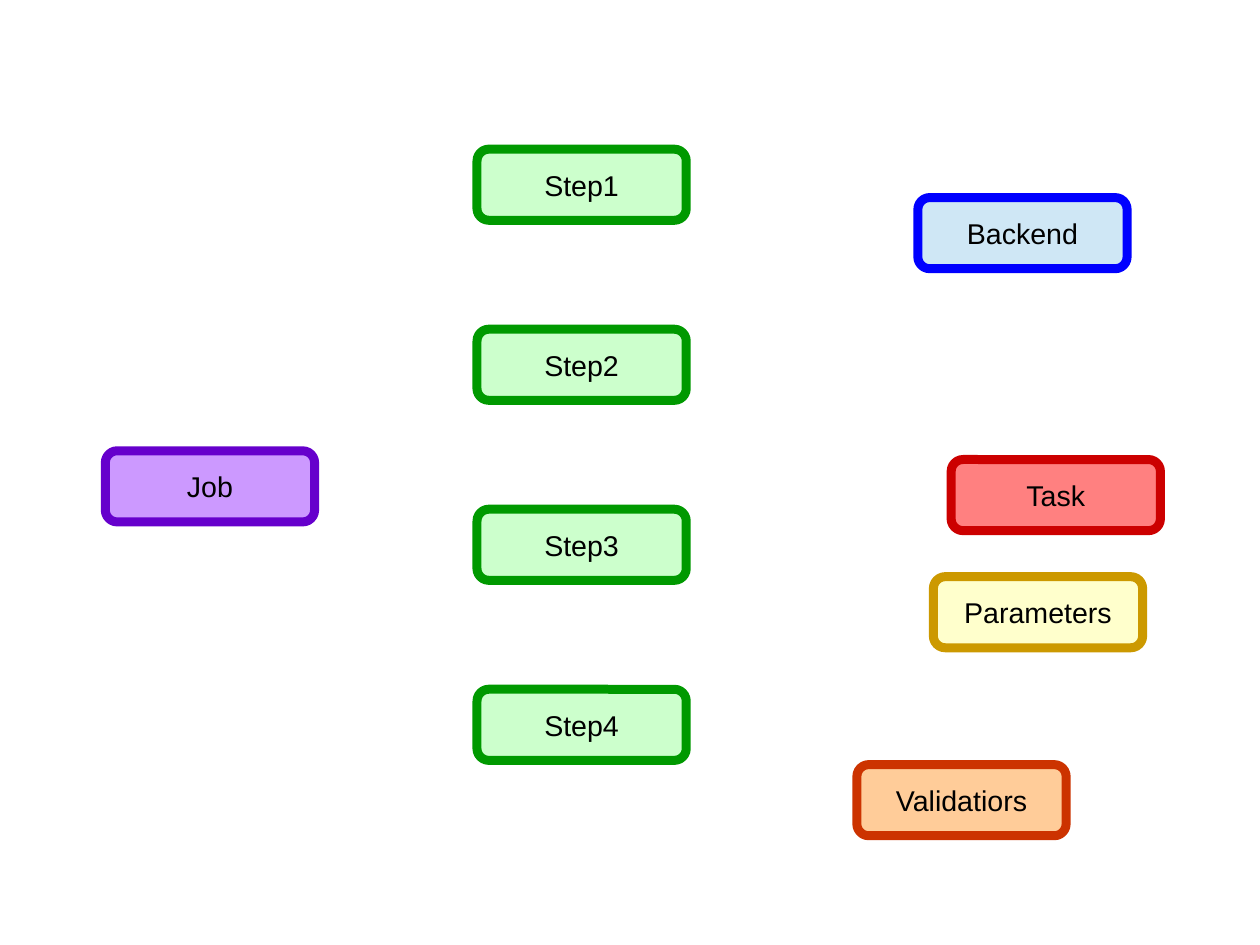
import pptx
import pptx.util
import pptx.dml.color
import pptx.enum.shapes
import pptx.enum.text

Pt = pptx.util.Pt

FILLS = {"job": "CC99FF", "step": "CCFFCC", "backend": "CFE7F5",
         "task": "FF8080", "params": "FFFFCC", "checks": "FFCC99"}
EDGES = {"job": "6600CC", "step": "009900", "backend": "0000FF",
         "task": "CC0000", "params": "CC9900", "checks": "CC3300"}
INK = "000000"


def paint(code):
    """Turn a hex string into a colour."""
    return pptx.dml.color.RGBColor.from_string(code)


class Board:
    """Holds the box style and the current slide."""

    font, size = "Arial", 18
    wide, high = 131.8, 44.8
    edge, curve = 5.67, 0.167
    side, top = 10, 6.5

    def __init__(self, slide):
        """Keep the slide to draw on."""
        self.slide = slide

    def box(self, text, kind, left, top):
        """Add a rounded box with a centred label."""
        shape = self.slide.shapes.add_shape(
            pptx.enum.shapes.MSO_SHAPE.ROUNDED_RECTANGLE,
            Pt(left), Pt(top), Pt(self.wide), Pt(self.high))
        shape.adjustments[0] = self.curve
        shape.shadow.inherit = False
        shape.fill.solid()
        shape.fill.fore_color.rgb = paint(FILLS[kind])
        shape.line.color.rgb = paint(EDGES[kind])
        shape.line.width = Pt(self.edge)
        self.label(shape.text_frame, text)

    def label(self, frame, text):
        """Write one centred line into a text frame."""
        frame.word_wrap = False
        frame.vertical_anchor = pptx.enum.text.MSO_ANCHOR.MIDDLE
        frame.margin_left = frame.margin_right = Pt(self.side)
        frame.margin_top = frame.margin_bottom = Pt(self.top)
        para = frame.paragraphs[0]
        para.alignment = pptx.enum.text.PP_ALIGN.CENTER
        run = para.add_run()
        run.text = text
        run.font.name = self.font
        run.font.size = Pt(self.size)
        run.font.color.rgb = paint(INK)


def main():
    """Build the slide and save it."""
    deck = pptx.Presentation()
    deck.slide_width, deck.slide_height = Pt(793.7), Pt(595.28)
    blank = deck.slide_layouts[6]
    board = Board(deck.slides.add_slide(blank))

    first, pitch = 94, 113.4
    for i in range(4):
        board.box(f"Step{i + 1}", "step", 300.5, first + i * pitch)

    parts = [("Job", "job", 66.4, 284),
             ("Backend", "backend", 578.2, 124.5),
             ("Task", "task", 599.2, 289.5),
             ("Parameters", "params", 588, 363.3),
             ("Validatiors", "checks", 539.8, 481.7)]
    for part in parts:
        board.box(*part)

    deck.save("out.pptx")


main()
